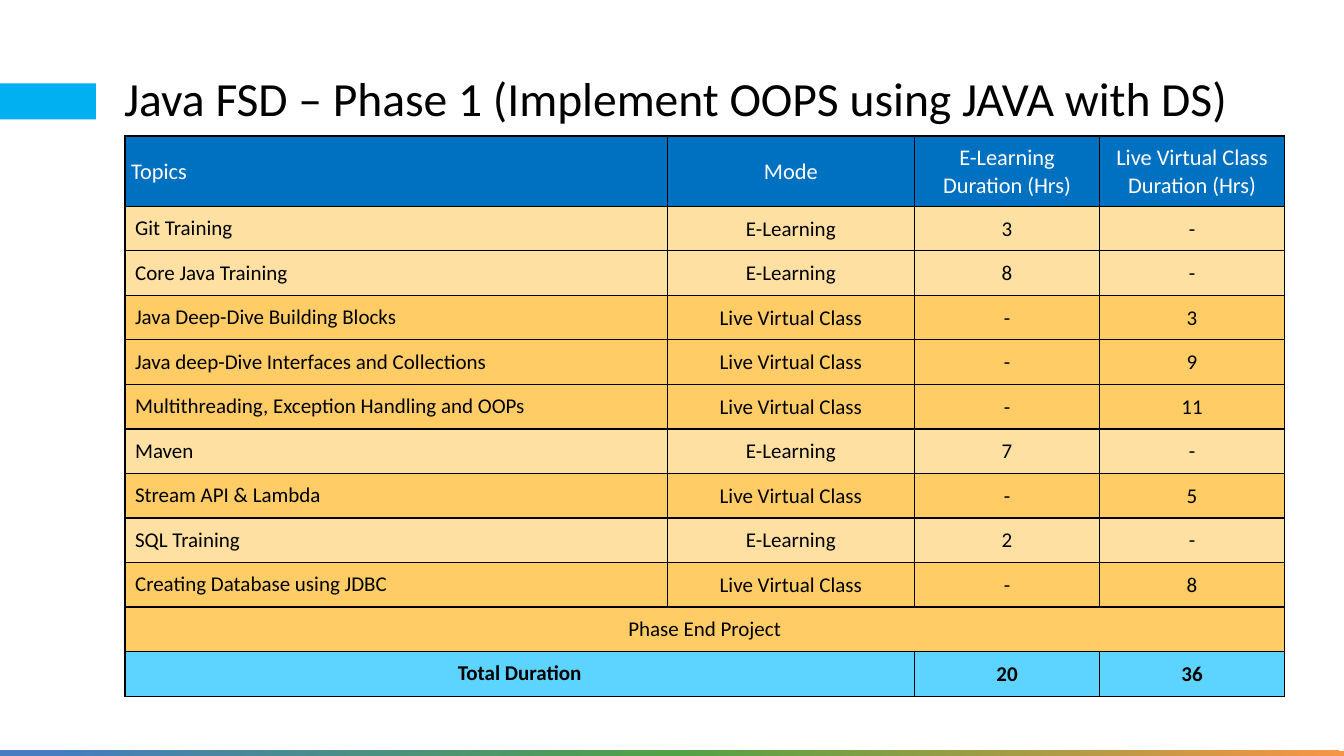
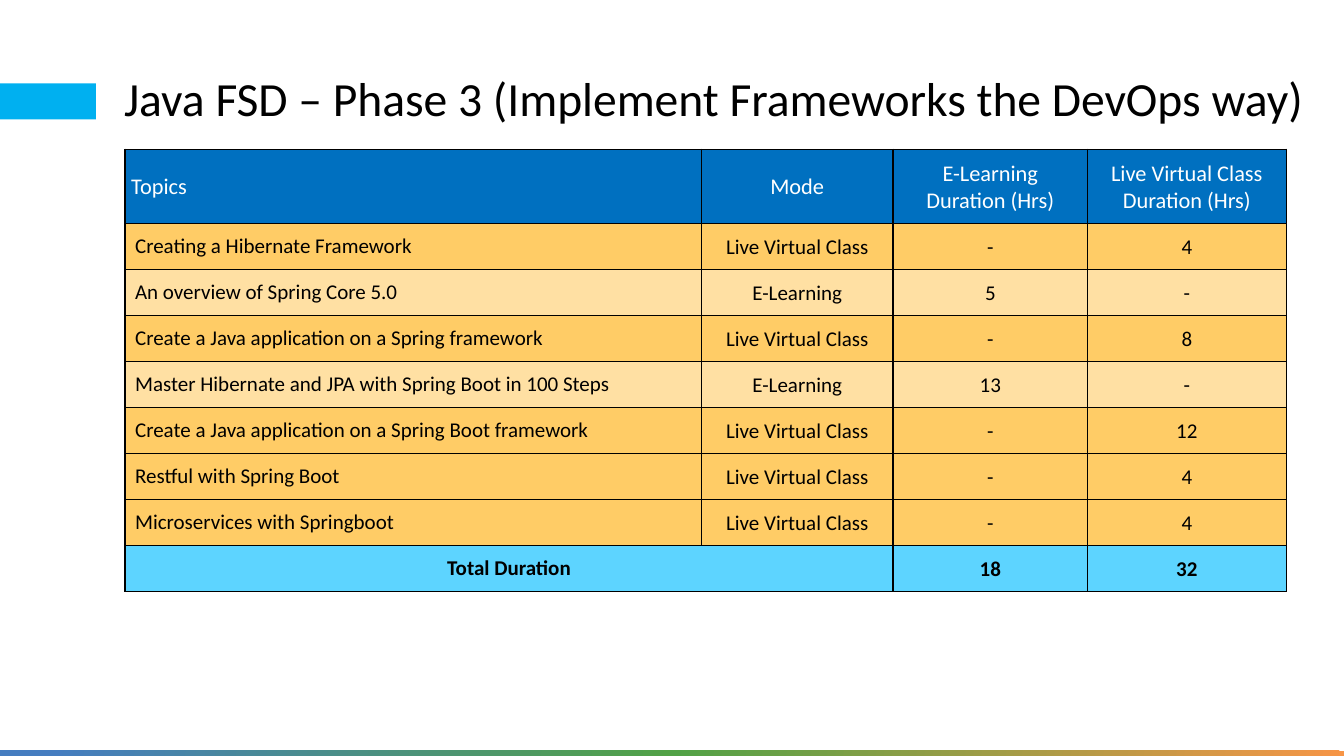
import copy
from dataclasses import dataclass
from typing import Any, Optional

import lxml.etree
import pptx
import pptx.dml.color
import pptx.enum.dml
import pptx.enum.shapes
import pptx.enum.text
import pptx.oxml.ns
import pptx.util

Pt = pptx.util.Pt
qn = pptx.oxml.ns.qn
ALIGN = pptx.enum.text.PP_ALIGN
MIDDLE = pptx.enum.text.MSO_ANCHOR.MIDDLE

FONT = "Calibri"
BLACK, WHITE = "000000", "FFFFFF"
HEADER_BLUE, TOTAL_BLUE, MARKER_BLUE = "0070C0", "5DD4FF", "00B0F0"
FOOTER_STOPS = [(0, "F79546"), (0.5, "51A246"), (0.96, "457DC0"), (1, "457DC0")]
ELEARNING, LIVE = "E-Learning", "Live Virtual Class"
MODE_FILLS = {ELEARNING: "FFE0A3", LIVE: "FFCC66"}
HEADINGS = ["Topics", "Mode", "E-Learning\vDuration (Hrs)", "Live Virtual Class Duration (Hrs)"]
TABLE_LEFT = 89.3

HEADER_FORMAT = {"size": Pt(16), "bold": False, "name": FONT}
BODY_FORMAT = {"size": Pt(15), "bold": False, "name": FONT}
TOTAL_FORMAT = {**BODY_FORMAT, "bold": True}
TITLE_FORMAT = {"size": Pt(34), "bold": False, "name": FONT}
NARROW_MARGINS = {"margin_left": Pt(0.7), "margin_right": Pt(0.7), "margin_top": Pt(0.7), "margin_bottom": Pt(0)}
HEADING_MARGINS = {**NARROW_MARGINS, "margin_left": Pt(4.4)}
WIDE_MARGINS = {"margin_left": Pt(7.2), "margin_right": Pt(7.2), "margin_top": Pt(3.6), "margin_bottom": Pt(3.6)}


@dataclass
class Topic:
    name: str
    mode: str
    hours: int


@dataclass
class Phase:
    title: str
    title_width: float
    table_top: float
    column_widths: list[float]
    header_height: float
    row_height: float
    topics: list[Topic]
    project: Optional[str] = None


@dataclass
class TableRow:
    texts: list[str]
    fill: str
    font_format: dict[str, Any]
    color: str = BLACK
    merged: int = 1
    is_header: bool = False


PHASES = [
    Phase(
        "Java FSD – Phase 1 (Implement OOPS using JAVA with DS)",
        828, 97.2, [387.4, 176.4, 132.5, 131.8], 50.2, 31.83,
        [
            Topic("Git Training", ELEARNING, 3),
            Topic("Core Java Training", ELEARNING, 8),
            Topic("Java Deep-Dive Building Blocks", LIVE, 3),
            Topic("Java deep-Dive Interfaces and Collections", LIVE, 9),
            Topic("Multithreading, Exception Handling and OOPs", LIVE, 11),
            Topic("Maven", ELEARNING, 7),
            Topic("Stream API & Lambda", LIVE, 5),
            Topic("SQL Training", ELEARNING, 2),
            Topic("Creating Database using JDBC", LIVE, 8),
        ],
        "Phase End Project",
    ),
    Phase(
        "Java FSD – Phase 3 (Implement Frameworks the DevOps way)",
        870, 106.6, [411.8, 136.8, 139, 141.8], 53.3, 32.85,
        [
            Topic("Creating a Hibernate Framework", LIVE, 4),
            Topic("An overview of Spring Core 5.0", ELEARNING, 5),
            Topic("Create a Java application on a Spring framework", LIVE, 8),
            Topic("Master Hibernate and JPA with Spring Boot in 100 Steps", ELEARNING, 13),
            Topic("Create a Java application on a Spring Boot framework", LIVE, 12),
            Topic("Restful with Spring Boot", LIVE, 4),
            Topic("Microservices with Springboot", LIVE, 4),
        ],
    ),
]


def color_of(value: str) -> pptx.dml.color.RGBColor:
    return pptx.dml.color.RGBColor.from_string(value)


def apply_format(target: Any, values: dict[str, Any]) -> None:
    for name, value in values.items():
        setattr(target, name, value)


def format_paragraph(paragraph: Any, font_format: dict[str, Any], color: str, alignment: Any) -> None:
    paragraph.alignment = alignment
    apply_format(paragraph.font, font_format)
    paragraph.font.color.rgb = color_of(color)


def add_band(slide: Any, left: float, top: float, width: float, height: float) -> Any:
    shape = slide.shapes.add_shape(
        pptx.enum.shapes.MSO_SHAPE.RECTANGLE, Pt(left), Pt(top), Pt(width), Pt(height))
    shape.shadow.inherit = False
    shape.line.fill.background()
    return shape


def add_bands(slide: Any) -> None:
    footer = add_band(slide, -0.7, 536.4, 962, 6.5)
    footer.fill.gradient()
    footer.fill.gradient_angle = 170
    stop_list = footer._element.spPr.find(qn("a:gradFill")).find(qn("a:gsLst"))
    while len(stop_list) < len(FOOTER_STOPS):
        stop_list.append(copy.deepcopy(stop_list[0]))
    for stop, (position, color) in zip(footer.fill.gradient_stops, FOOTER_STOPS):
        stop.position = position
        stop.color.rgb = color_of(color)
    marker = add_band(slide, 0, 59.6, 68.6, 25.7)
    marker.fill.solid()
    marker.fill.fore_color.rgb = color_of(MARKER_BLUE)


def set_title(slide: Any, phase: Phase) -> None:
    title = slide.shapes.title
    apply_format(title, {"left": Pt(81.4), "top": Pt(48.2), "width": Pt(phase.title_width), "height": Pt(47.5)})
    frame = title.text_frame
    frame.text = phase.title
    apply_format(frame, {
        **WIDE_MARGINS, "word_wrap": True, "vertical_anchor": MIDDLE,
        "auto_size": pptx.enum.text.MSO_AUTO_SIZE.NONE})
    paragraph = frame.paragraphs[0]
    paragraph.line_spacing = 0.9
    format_paragraph(paragraph, TITLE_FORMAT, BLACK, ALIGN.LEFT)


def add_borders(cell: Any) -> None:
    properties = cell._tc.get_or_add_tcPr()
    for side in ("lnL", "lnR", "lnT", "lnB"):
        line = lxml.etree.SubElement(properties, qn(f"a:{side}"), w=str(Pt(1)))
        fill = lxml.etree.SubElement(line, qn("a:solidFill"))
        lxml.etree.SubElement(fill, qn("a:srgbClr"), val=BLACK)


def build_rows(phase: Phase) -> list[TableRow]:
    rows = [TableRow(HEADINGS, HEADER_BLUE, HEADER_FORMAT, WHITE, is_header=True)]
    for topic in phase.topics:
        hours = [str(topic.hours) if topic.mode == mode else "-" for mode in MODE_FILLS]
        rows.append(TableRow([topic.name, topic.mode, *hours], MODE_FILLS[topic.mode], BODY_FORMAT))
    if phase.project:
        rows.append(TableRow([phase.project, "", "", ""], MODE_FILLS[LIVE], BODY_FORMAT, merged=4))
    totals = [str(sum(topic.hours for topic in phase.topics if topic.mode == mode)) for mode in MODE_FILLS]
    rows.append(TableRow(["Total Duration", "", *totals], TOTAL_BLUE, TOTAL_FORMAT, merged=2))
    return rows


def fill_cell(cell: Any, row: TableRow, column: int) -> None:
    add_borders(cell)
    cell.fill.solid()
    cell.fill.fore_color.rgb = color_of(row.fill)
    cell.vertical_anchor = MIDDLE
    first_margins = HEADING_MARGINS if row.is_header else WIDE_MARGINS
    apply_format(cell, NARROW_MARGINS if column else first_margins)
    paragraph = cell.text_frame.paragraphs[0]
    paragraph.text = row.texts[column]
    alignment = ALIGN.LEFT if column == 0 and row.merged == 1 else ALIGN.CENTER
    format_paragraph(paragraph, row.font_format, row.color, alignment)
    for run in paragraph.runs:
        apply_format(run.font, row.font_format)
        run.font.color.rgb = color_of(row.color)


def add_topic_table(slide: Any, phase: Phase) -> None:
    rows = build_rows(phase)
    heights = [phase.header_height] + [phase.row_height] * (len(rows) - 1)
    table = slide.shapes.add_table(
        len(rows), len(HEADINGS), Pt(TABLE_LEFT), Pt(phase.table_top),
        Pt(sum(phase.column_widths)), Pt(sum(heights))).table
    apply_format(table, {"first_row": False, "horz_banding": False})
    for column, width in zip(table.columns, phase.column_widths):
        column.width = Pt(width)
    for index, (row, height) in enumerate(zip(rows, heights)):
        table.rows[index].height = Pt(height)
        for column in range(len(HEADINGS)):
            fill_cell(table.cell(index, column), row, column)
        if row.merged > 1:
            table.cell(index, 0).merge(table.cell(index, row.merged - 1))


def main() -> None:
    presentation = pptx.Presentation()
    apply_format(presentation, {"slide_width": Pt(960), "slide_height": Pt(540)})
    for phase in PHASES:
        slide = presentation.slides.add_slide(presentation.slide_layouts[5])
        add_bands(slide)
        set_title(slide, phase)
        add_topic_table(slide, phase)
    presentation.save("out.pptx")


if __name__ == "__main__":
    main()
